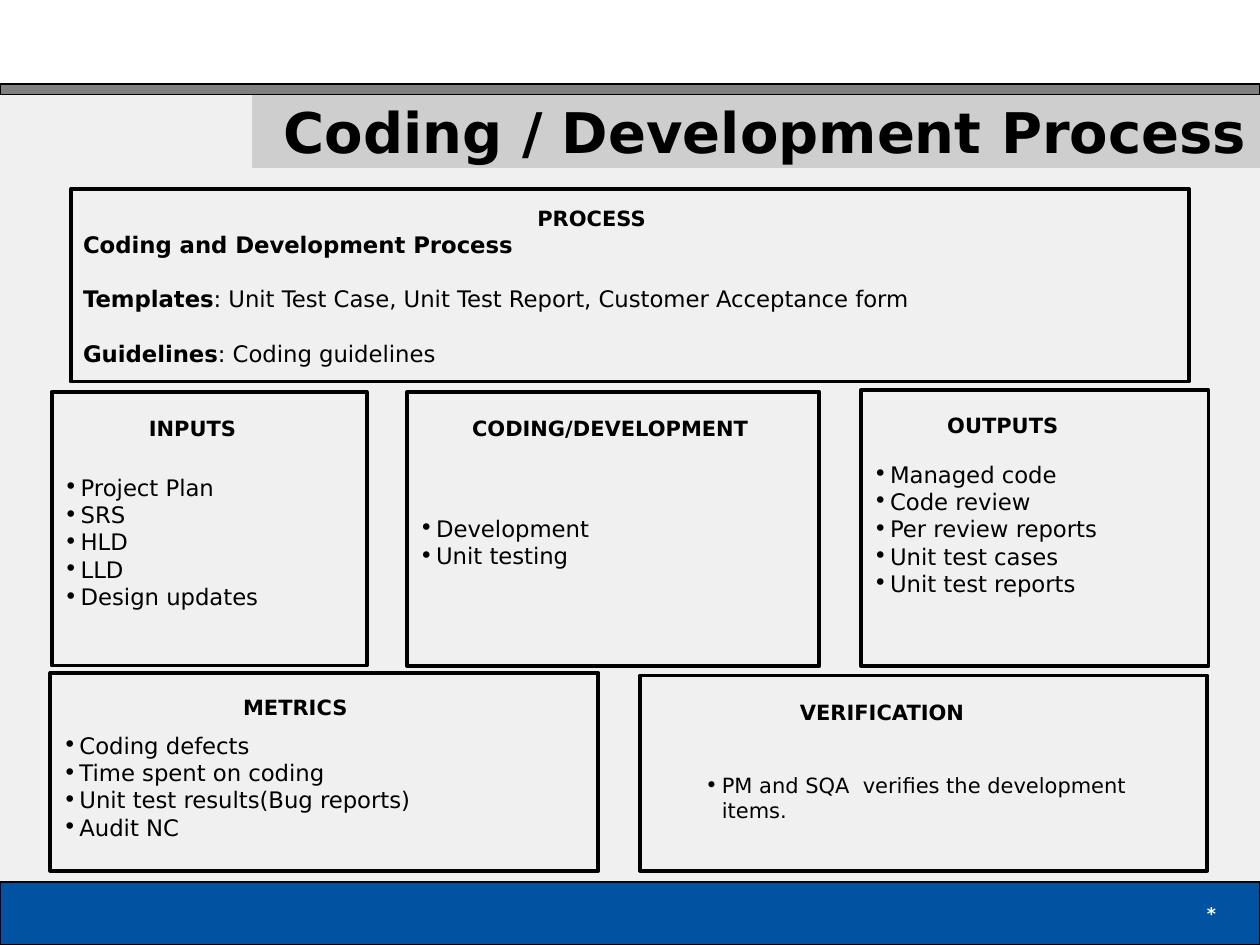
import pptx
import pptx.util
import pptx.dml.color
import pptx.enum.shapes
import pptx.enum.text
import lxml.etree

Pt = pptx.util.Pt
Align = pptx.enum.text.PP_ALIGN
Anchor = pptx.enum.text.MSO_ANCHOR
Rect = pptx.enum.shapes.MSO_SHAPE.RECTANGLE
Main = "{http://schemas.openxmlformats.org/drawingml/2006/main}"


def paint(part, tint):
    part.solid()
    part.fore_color.rgb = pptx.dml.color.RGBColor.from_string(tint)


def write(shape, rows, size, align=Align.LEFT, top=3.6, gap=0, dots=False,
          tint="000000", anchor=Anchor.TOP):
    frame = shape.text_frame
    frame.word_wrap = True
    frame.auto_size = pptx.enum.text.MSO_AUTO_SIZE.NONE
    frame.vertical_anchor = anchor
    frame.margin_left = frame.margin_right = Pt(7.2)
    frame.margin_top, frame.margin_bottom = Pt(top), Pt(3.6)
    for index, row in enumerate(rows):
        para = frame.add_paragraph() if index else frame.paragraphs[0]
        para.alignment = align
        para.space_before = Pt(gap if index else 0)
        if dots:
            props = para._p.get_or_add_pPr()
            props.set("marL", str(Pt(9.4)))
            props.set("indent", str(Pt(-9.4)))
            lxml.etree.SubElement(props, Main + "buFont", typeface="DejaVu Sans")
            lxml.etree.SubElement(props, Main + "buChar", char="•")
        for words, bold in row:
            run = para.add_run()
            run.text = words
            run.font.name = "DejaVu Sans"
            run.font.size = Pt(size)
            run.font.bold = bold
            paint(run.font.fill, tint)


deck = pptx.Presentation()
deck.slide_width, deck.slide_height = Pt(720), Pt(540)
slide = deck.slides.add_slide(deck.slide_layouts[4])
paint(slide.background.fill, "F0F0F0")
shapes = slide.shapes

title = shapes.title
title.left, title.top, title.width, title.height = Pt(144), Pt(54), Pt(576), Pt(42)
paint(title.fill, "CECECE")
write(title, [[("Coding / Development Process", True)]], 32, Align.RIGHT,
      anchor=Anchor.MIDDLE)

bands = [(0, 48, "FFFFFF", False), (48, 6, "808080", True), (504, 36, "0152A1", True)]
for top, height, tint, edge in bands:
    band = shapes.add_shape(Rect, 0, Pt(top), Pt(720), Pt(height))
    band.shadow.inherit = False
    paint(band.fill, tint)
    if edge:
        paint(band.line.fill, "000000")
        band.line.width = Pt(0.75)
    else:
        band.line.fill.background()

mark = shapes.add_textbox(Pt(552), Pt(504), Pt(150), Pt(36))
write(mark, [[("*", True)]], 10, Align.RIGHT, tint="FFFFFF", anchor=Anchor.MIDDLE)

process = shapes.add_shape(Rect, Pt(40.4), Pt(108), Pt(639), Pt(110))
verify = shapes.add_shape(Rect, Pt(365.8), Pt(386), Pt(324), Pt(111.6))
for box in (process, verify):
    box.shadow.inherit = False
    box.fill.background()
    paint(box.line.fill, "000000")
    box.line.width = Pt(2.25)
write(process, [
    [("Coding and Development Process", True)],
    [("Templates", True),
     (": Unit Test Case, Unit Test Report, Customer Acceptance form", False)],
    [("Guidelines", True), (": Coding guidelines", False)],
], 13, top=23.6, gap=15.6)

lists = [
    (29.5, 224, 180, 156.3, 46.6,
     ["Project Plan", "SRS", "HLD", "LLD", "Design updates"]),
    (232.6, 224, 235.6, 156.6, 70, ["Development", "Unit testing"]),
    (492, 223, 198.6, 157.6, 40,
     ["Managed code", "Code review", "Per review reports",
      "Unit test cases", "Unit test reports"]),
    (28.8, 384.6, 313.2, 113, 33.4,
     ["Coding defects", "Time spent on coding",
      "Unit test results(Bug reports)", "Audit NC"]),
]
for index, (left, top, width, height, inset, items) in enumerate(lists, 1):
    body = slide.placeholders[index]
    body.left, body.top, body.width, body.height = Pt(left), Pt(top), Pt(width), Pt(height)
    paint(body.line.fill, "000000")
    body.line.width = Pt(2.25)
    write(body, [[(item, False)] for item in items], 13, top=inset, dots=True)

heads = [
    ("PROCESS", 300, 113.8, 102, Align.LEFT),
    ("INPUTS", 78, 234, 84, Align.LEFT),
    ("CODING/DEVELOPMENT", 234.7, 234, 228, Align.CENTER),
    ("OUTPUTS", 534.2, 232, 84, Align.LEFT),
    ("METRICS", 131.8, 393.1, 84, Align.LEFT),
    ("VERIFICATION", 450, 396, 132, Align.LEFT),
]
for words, left, top, width, align in heads:
    head = shapes.add_textbox(Pt(left), Pt(top), Pt(width), Pt(21.6))
    write(head, [[(words, True)]], 12, align)

note = shapes.add_textbox(Pt(396), Pt(437.8), Pt(258), Pt(36))
write(note, [[("PM and SQA  verifies the development items.", False)]], 12, dots=True)

deck.save("out.pptx")
